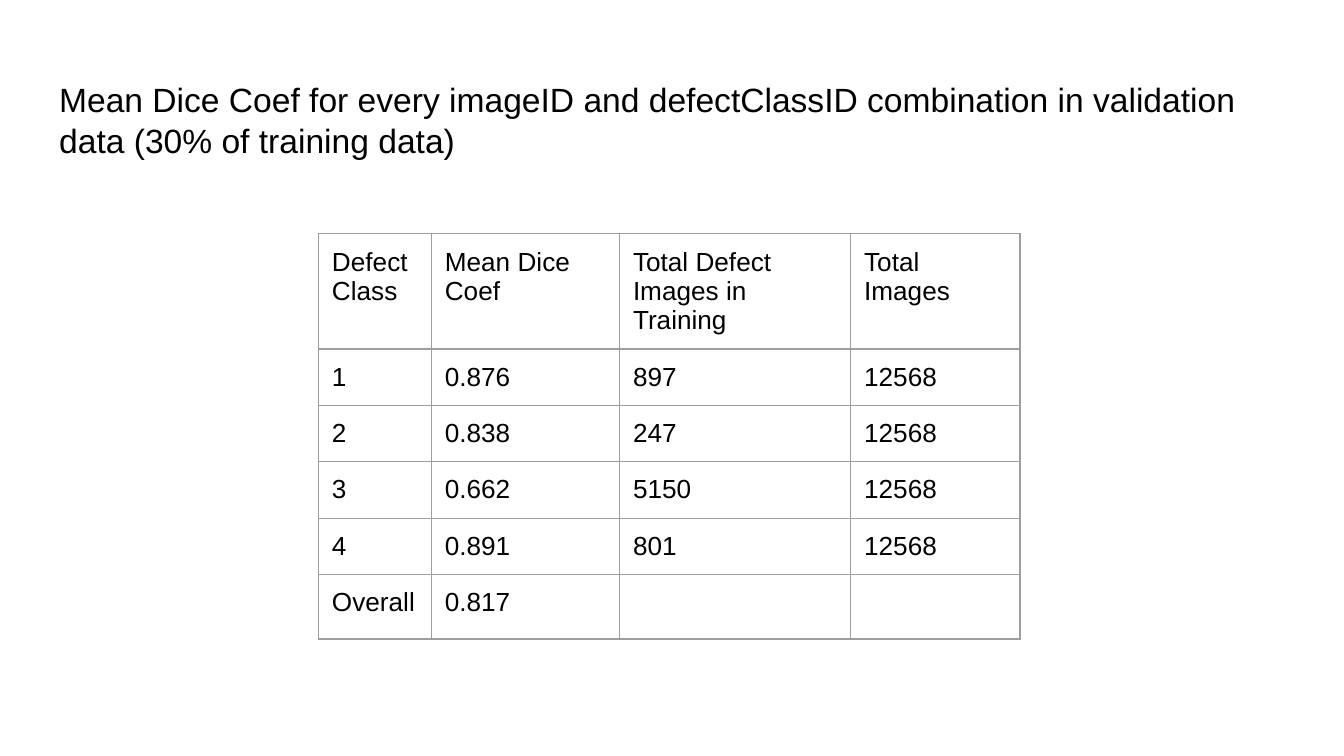
"""Build a slide with a table of mean Dice coefficients per defect class."""
from lxml import etree
from pptx import Presentation
from pptx.dml.color import RGBColor
from pptx.enum.text import MSO_ANCHOR, MSO_AUTO_SIZE, PP_ALIGN
from pptx.oxml.ns import qn
from pptx.util import Inches, Pt

TOP, LEFT, NO_FIT = MSO_ANCHOR.TOP, PP_ALIGN.LEFT, MSO_AUTO_SIZE.NONE
COLORS = {"text": "000000", "border": "9E9E9E"}
MARGINS = {f"margin_{side}": Inches(0.1) for side in ("left", "right", "top", "bottom")}
TITLE = ("Mean Dice Coef for every imageID and defectClassID combination "
         "in validation data (30% of training data)")
ROWS = [
    ["Defect Class", "Mean Dice Coef", "Total Defect Images in Training", "Total Images"],
    ["1", "0.876", "897", "12568"],
    ["2", "0.838", "247", "12568"],
    ["3", "0.662", "5150", "12568"],
    ["4", "0.891", "801", "12568"],
    ["Overall", "0.817", "", ""],
]
COL_WIDTHS = [0.84, 1.4, 1.72, 1.26]
ROW_HEIGHTS = [0.42] * 5 + [0.48]


def write(p, text, size):
    p.alignment = LEFT
    r = p.add_run()
    r.text = text
    for name, value in {"name": "Arial", "size": Pt(size), "bold": False}.items():
        setattr(r.font, name, value)
    r.font.color.rgb = RGBColor.from_string(COLORS["text"])


def add_borders(cell):
    tcPr = cell._tc.get_or_add_tcPr()
    for i, side in enumerate(("lnL", "lnR", "lnT", "lnB")):
        ln = etree.Element(qn(f"a:{side}"), w=str(Pt(0.75)))
        fill = etree.SubElement(ln, qn("a:solidFill"))
        etree.SubElement(fill, qn("a:srgbClr"), val=COLORS["border"])
        tcPr.insert(i, ln)


prs = Presentation()
prs.slide_width = Inches(10)
prs.slide_height = Inches(10 * 9 / 16)
s = prs.slides.add_slide(prs.slide_layouts[5])

title = s.shapes.title
title.left, title.top = Inches(0.34), Inches(0.49)
title.width, title.height = Inches(9.32), Inches(0.78)
tf = title.text_frame
frame_format = {**MARGINS, "word_wrap": True, "auto_size": NO_FIT, "vertical_anchor": TOP}
for name, value in frame_format.items():
    setattr(tf, name, value)
write(tf.paragraphs[0], TITLE, 18)

table = s.shapes.add_table(
    len(ROWS), len(COL_WIDTHS), Inches(2.37), Inches(1.74),
    Inches(sum(COL_WIDTHS)), Inches(sum(ROW_HEIGHTS))).table
table.first_row = table.horz_banding = False
for column, width in zip(table.columns, COL_WIDTHS):
    column.width = Inches(width)
for row, height, values in zip(table.rows, ROW_HEIGHTS, ROWS):
    row.height = Inches(height)
    for cell, value in zip(row.cells, values):
        cell.fill.background()
        for name, setting in {**MARGINS, "vertical_anchor": TOP}.items():
            setattr(cell, name, setting)
        add_borders(cell)
        write(cell.text_frame.paragraphs[0], value, 14)

prs.save("out.pptx")
